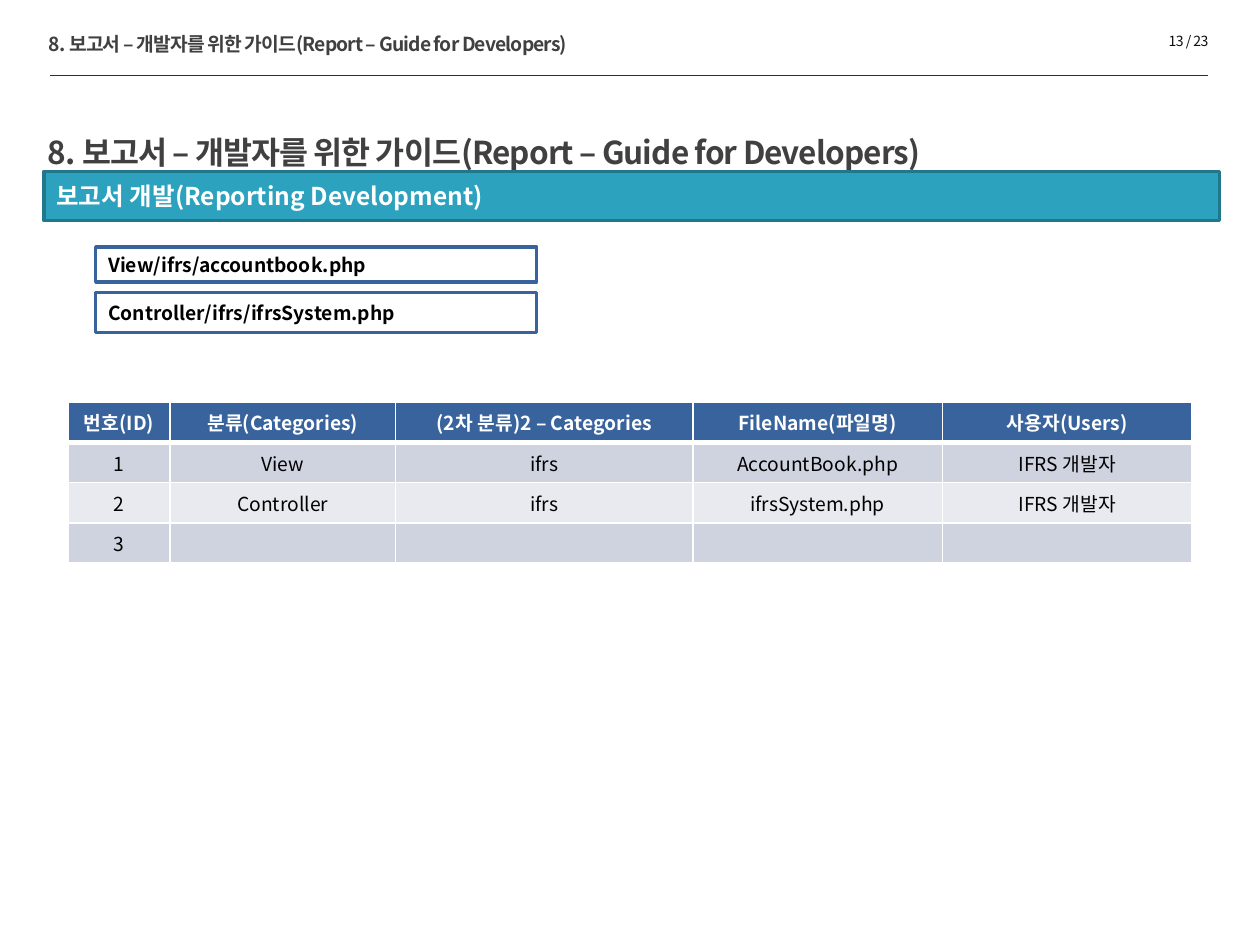
from lxml import etree
from pptx import Presentation, util as u
from pptx.dml.color import RGBColor
from pptx.enum import shapes, text
from pptx.oxml.ns import qn

PX = u.Inches(1) // 100  # 100 px to the inch
FONT = "Noto Sans CJK KR"

WHITE = RGBColor(0xFF, 0xFF, 0xFF)
BLACK = RGBColor(0x00, 0x00, 0x00)
HEADING = RGBColor(0x40, 0x40, 0x40)
PAGE_INK = RGBColor(0x0D, 0x0D, 0x0D)
RULE = RGBColor(0x1C, 0x31, 0x4E)
TEAL = RGBColor(0x2D, 0xA2, 0xBF)
TEAL_EDGE = RGBColor(0x21, 0x78, 0x8D)
BLUE = RGBColor(0x39, 0x63, 0x9D)
BAND_DARK = RGBColor(0xCE, 0xD3, 0xDF)
BAND_LIGHT = RGBColor(0xE8, 0xEA, 0xEF)

CHAPTER = "8. 보고서 – 개발자를 위한 가이드(Report – Guide for Developers)"
SECTION = "보고서 개발(Reporting Development)"
FILES = [
    ("View/ifrs/accountbook.php", (76, 196, 350, 28)),
    ("Controller/ifrs/ifrsSystem.php", (76, 232, 350, 32)),
]
COLUMN_WIDTHS = [81, 179, 236, 198, 198]
ROWS = [
    ["번호(ID)", "분류(Categories)", "(2차 분류)2 – Categories",
     "FileName(파일명)", "사용자(Users)"],
    ["1", "View", "ifrs", "AccountBook.php", "IFRS 개발자"],
    ["2", "Controller", "ifrs", "ifrsSystem.php", "IFRS 개발자"],
    ["3", "", "", "", ""],
]


def emu(box):
    return [length * PX for length in box]


def write(frame, words, size, color, bold=False, align=text.PP_ALIGN.LEFT, spacing=0):
    """Fill the first paragraph; spacing is the tracking in points."""
    paragraph = frame.paragraphs[0]
    if words:
        paragraph.text = words
    paragraph.alignment = align
    font = paragraph.font
    font.name, font.size, font.bold = FONT, u.Pt(size), bold
    font.color.rgb = color
    defaults = paragraph._p.pPr.find(qn("a:defRPr"))
    etree.SubElement(defaults, qn("a:ea"), typeface=FONT)
    if spacing:
        defaults.set("spc", str(round(spacing * 100)))
    return paragraph


def add_label(slide, box, words, **style):
    frame = slide.shapes.add_textbox(*emu(box)).text_frame
    frame.word_wrap = True
    frame.auto_size = text.MSO_AUTO_SIZE.SHAPE_TO_FIT_TEXT
    write(frame, words, **style)


def add_running_header(slide, box):
    left, top, width, height = box
    add_label(slide, (left - 11, top, 686, 29), CHAPTER,
              size=11, color=HEADING, bold=True, spacing=-0.5)
    add_label(slide, (left + width - 163, top, 173, 24), "13 / 23",
              size=8, color=PAGE_INK, align=text.PP_ALIGN.RIGHT, spacing=-0.3)
    bottom = top + height
    rule = slide.shapes.add_connector(
        shapes.MSO_CONNECTOR.STRAIGHT, *emu((left, bottom, left + width, bottom)))
    rule.line.color.rgb = RULE
    rule.line.width = u.Pt(0.25)
    etree.SubElement(rule._element.spPr, qn("a:effectLst"))


def place_title(slide, box):
    title = slide.shapes.title
    title.left, title.top, title.width, title.height = emu(box)
    frame = title.text_frame
    frame.vertical_anchor = text.MSO_ANCHOR.MIDDLE
    frame.auto_size = text.MSO_AUTO_SIZE.NONE
    paragraph = write(frame, CHAPTER, 18, HEADING, bold=True, spacing=-0.5)
    paragraph.line_spacing = 1.75
    paragraph._p.pPr.set("marL", str(36 * PX))
    paragraph._p.pPr.set("indent", str(-36 * PX))


def add_bar(slide, box, words, size, color, fill, edge):
    bar = slide.shapes.add_shape(shapes.MSO_SHAPE.RECTANGLE, *emu(box))
    bar.shadow.inherit = False
    bar.fill.solid()
    bar.fill.fore_color.rgb = fill
    bar.line.color.rgb = edge
    bar.line.width = u.Pt(2)
    bar.text_frame.word_wrap = True
    bar.text_frame.vertical_anchor = text.MSO_ANCHOR.MIDDLE
    write(bar.text_frame, words, size, color, bold=True)


def set_borders(cell, widths):
    """Draw white borders; widths gives points for left, right, top, bottom."""
    properties = cell._tc.get_or_add_tcPr()
    for position, (side, width) in enumerate(zip("LRTB", widths)):
        border = etree.Element(qn(f"a:ln{side}"), w=str(u.Pt(width)))
        fill = etree.SubElement(border, qn("a:solidFill"))
        etree.SubElement(fill, qn("a:srgbClr"), val=str(WHITE))
        properties.insert(position, border)


def add_file_table(slide, box):
    table = slide.shapes.add_table(len(ROWS), len(COLUMN_WIDTHS), *emu(box)).table
    for column, width in zip(table.columns, COLUMN_WIDTHS):
        column.width = width * PX
    for r, row in enumerate(ROWS):
        table.rows[r].height = box[3] * PX // len(ROWS)
        header = r == 0
        band = BLUE if header else BAND_DARK if r % 2 else BAND_LIGHT
        for c, words in enumerate(row):
            cell = table.cell(r, c)
            cell.fill.solid()
            cell.fill.fore_color.rgb = band
            cell.vertical_anchor = text.MSO_ANCHOR.MIDDLE
            set_borders(cell, (1, 1, 3 if r == 1 else 1, 3 if header else 1))
            write(cell.text_frame, words, 11, WHITE if header else BLACK,
                  bold=header, align=text.PP_ALIGN.CENTER)


def main():
    deck = Presentation()
    deck.slide_width, deck.slide_height = emu((1000, 750))
    slide = deck.slides.add_slide(deck.slide_layouts.get_by_name("Title Only"))
    add_running_header(slide, (40, 21, 919, 39))
    place_title(slide, (28, 77, 908, 64))
    add_bar(slide, (35, 136, 933, 39), SECTION, 14, WHITE, TEAL, TEAL_EDGE)
    for file_name, box in FILES:
        add_bar(slide, box, file_name, 11, BLACK, WHITE, BLUE)
    add_file_table(slide, (54, 319, 892, 128))
    deck.save("out.pptx")


if __name__ == "__main__":
    main()
